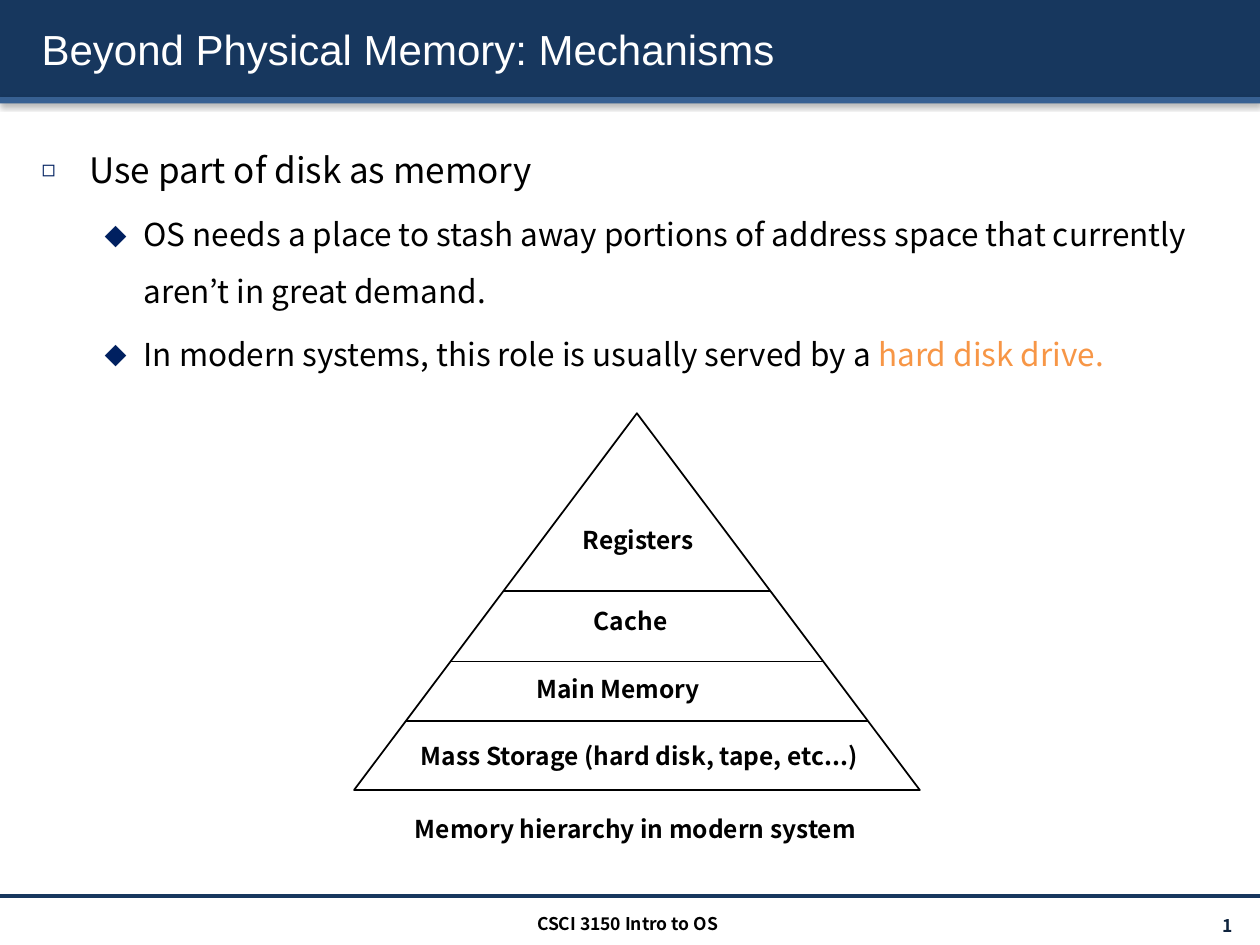
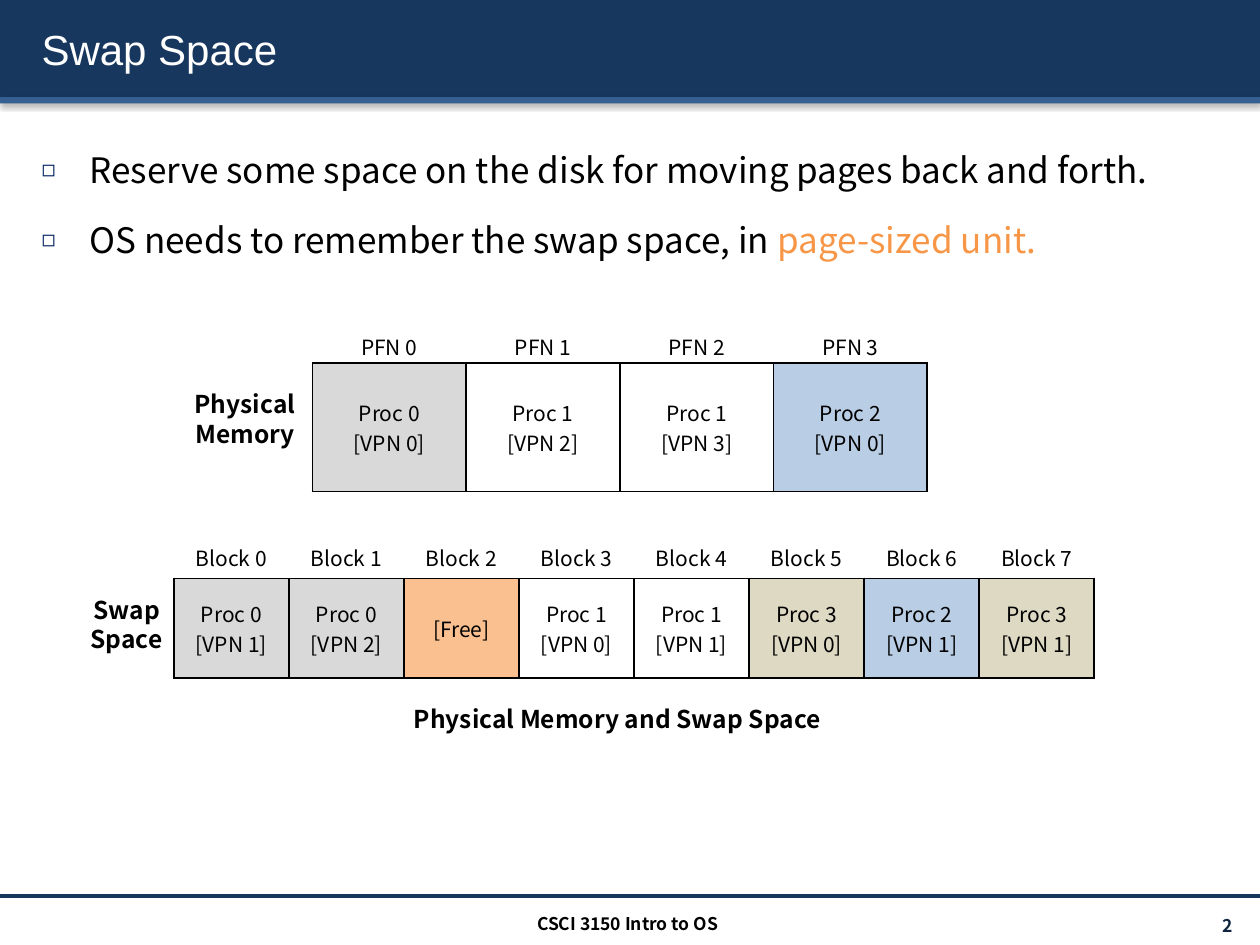
"""Build two lecture slides on memory hierarchy and swap space."""
from lxml.etree import SubElement
from pptx import Presentation
from pptx.dml.color import RGBColor
from pptx.enum.shapes import MSO_CONNECTOR, MSO_SHAPE
from pptx.enum.text import MSO_ANCHOR, MSO_AUTO_SIZE, PP_ALIGN
from pptx.oxml.ns import qn
from pptx.util import Inches, Pt

NAVY = RGBColor(0x17, 0x37, 0x5E)
BLUE = RGBColor(0x37, 0x60, 0x92)
BULLET = RGBColor(0x00, 0x20, 0x60)
INK = RGBColor(0x0F, 0x24, 0x3E)
BLACK = RGBColor(0x00, 0x00, 0x00)
WHITE = RGBColor(0xFF, 0xFF, 0xFF)
ORANGE = RGBColor(0xF7, 0x96, 0x46)
GRAY = RGBColor(0xD9, 0xD9, 0xD9)
SKY = RGBColor(0xB9, 0xCD, 0xE5)
PEACH = RGBColor(0xFA, 0xC0, 0x90)
SAND = RGBColor(0xDD, 0xD9, 0xC3)

COLS, ROWS = 100, 75
HEAD_FONT, TEXT_FONT = "Arial", "Noto Sans CJK KR"
LEVELS = [("◻", 20, 0.38, 0.38, 65), ("⬥", 18, 0.81, 0.31, 100)]
COURSE = "CSCI 3150 Intro to OS"


class Deck:
    def __init__(self):
        self.prs = Presentation()
        self.prs.slide_width, self.prs.slide_height = Inches(10), Inches(7.5)
        self.layout = self.prs.slide_layouts[1]
        self.s = None

    def x(self, col):
        return round(self.prs.slide_width * col / COLS)

    def y(self, row):
        return round(self.prs.slide_height * row / ROWS)

    def box(self, left, top, width, height):
        return self.x(left), self.y(top), self.x(width), self.y(height)

    def style(self, p, size, color=BLACK, bold=False, font=TEXT_FONT):
        for r in p.runs:
            r.font.size, r.font.bold, r.font.name = Pt(size), bold, font
            r.font.color.rgb = color

    def shadow(self, effects, blur, dist, angle, alpha):
        shade = SubElement(effects, qn("a:outerShdw"), blurRad=str(Pt(blur)), dist=str(Pt(dist)),
                           dir=str(angle * 60000), algn="t", rotWithShape="0")
        color = SubElement(shade, qn("a:srgbClr"), val=str(BLACK))
        SubElement(color, qn("a:alpha"), val=str(alpha * 1000))

    def band(self, top, height, color):
        sp = self.s.shapes.add_shape(MSO_SHAPE.RECTANGLE, *self.box(0, top, COLS, height))
        sp.shadow.inherit = False
        sp.fill.solid()
        sp.fill.fore_color.rgb = color
        sp.line.fill.background()
        self.shadow(sp._element.spPr.find(qn("a:effectLst")), 3.1, 1.6, 90, 38)
        return sp

    def line(self, left, right, row, color=BLACK, width=1):
        sp = self.s.shapes.add_connector(MSO_CONNECTOR.STRAIGHT, self.x(left), self.y(row),
                                         self.x(right), self.y(row))
        sp.line.color.rgb, sp.line.width = color, Pt(width)
        SubElement(sp._element.spPr, qn("a:effectLst"))
        return sp

    def share_bands(self):
        parts = [self.band(0, 7.7, NAVY), self.band(7.7, 0.5, BLUE),
                 self.line(0, COLS, 71.1, NAVY, 2)]
        for i, sp in enumerate(parts):
            self.layout.shapes._spTree.insert(2 + i, sp._element)

    def page(self, title, number, items):
        self.s = self.prs.slides.add_slide(self.layout)
        if len(self.prs.slides) == 1:
            self.share_bands()
        self.title(title)
        self.body(items)
        p = self.text(str(number), 87.1, 72.1, 11.7, 2.4, 10, True, INK, PP_ALIGN.RIGHT)
        run = p.runs[0]._r
        field = SubElement(p._p, qn("a:fld"), id="{B6F15528-21DE-4FAA-801E-634DDDAF4B2B}",
                           type="slidenum")
        field.extend(list(run))
        p._p.remove(run)
        self.text(COURSE, 33.2, 72, 33.2, 2.4, 10, True)

    def title(self, text):
        sp = self.s.shapes.title
        sp.left, sp.top, sp.width, sp.height = self.box(2.3, 0.7, 96.1, 6.4)
        tf = sp.text_frame
        tf.text = text
        tf.vertical_anchor, tf.auto_size = MSO_ANCHOR.MIDDLE, MSO_AUTO_SIZE.NONE
        p = tf.paragraphs[0]
        p.alignment = PP_ALIGN.LEFT
        self.style(p, 24, WHITE, font=HEAD_FONT)
        rpr = p.runs[0]._r.rPr
        effects = SubElement(rpr, qn("a:effectLst"))
        self.shadow(effects, 3, 3, 45, 100)
        rpr.find(qn("a:solidFill")).addnext(effects)

    def body(self, items):
        sp = self.s.placeholders[1]
        sp.left, sp.top, sp.width, sp.height = self.box(2.3, 9.6, 96.1, 60.2)
        tf = sp.text_frame
        tf.auto_size = MSO_AUTO_SIZE.NONE
        for i, (level, text, accent) in enumerate(items):
            p = tf.add_paragraph() if i else tf.paragraphs[0]
            p.text = text
            p.level = level
            if accent:
                p.add_run().text = accent
            self.bullet(p, *LEVELS[level])
            if accent:
                p.runs[-1].font.color.rgb = ORANGE

    def bullet(self, p, char, size, indent, hang, percent):
        self.style(p, size)
        p.line_spacing, p.space_before = 1.5, Pt(size * 0.2)
        ppr = p._p.get_or_add_pPr()
        ppr.set("marL", str(Inches(indent)))
        ppr.set("indent", str(-Inches(hang)))
        SubElement(SubElement(ppr, qn("a:buClr")), qn("a:srgbClr"), val=str(BULLET))
        SubElement(ppr, qn("a:buSzPct"), val=str(percent * 1000))
        SubElement(ppr, qn("a:buChar"), char=char)

    def text(self, text, left, top, width, height, size, bold=False, color=BLACK,
             align=PP_ALIGN.CENTER):
        tf = self.s.shapes.add_textbox(*self.box(left, top, width, height)).text_frame
        tf.word_wrap = True
        tf.text = text
        for p in tf.paragraphs:
            p.alignment = align
            self.style(p, size, color, bold)
        return tf.paragraphs[0]

    def pyramid(self, left, top, width, height, cuts):
        sp = self.s.shapes.add_shape(MSO_SHAPE.ISOSCELES_TRIANGLE,
                                     *self.box(left, top, width, height))
        sp.shadow.inherit = False
        sp.fill.solid()
        sp.fill.fore_color.rgb = WHITE
        sp.line.color.rgb, sp.line.width = BLACK, Pt(1)
        for row in cuts:
            half = width / 2 * (row - top) / height
            center = left + width / 2
            self.line(center - half, center + half, row)

    def memory(self, left, top, step, height, label, label_top, cells):
        frame = self.s.shapes.add_table(1, len(cells),
                                        *self.box(left, top, step * len(cells), height))
        for i, (text, fill) in enumerate(cells):
            self.cell(frame.table.cell(0, i), text, fill)
            self.text(f"{label} {i}", left + step * (i + 0.5) - 8.85, label_top, 17.7, 3, 12)

    def cell(self, cell, text, fill):
        tcpr = cell._tc.get_or_add_tcPr()
        for side in ("a:lnL", "a:lnR", "a:lnT", "a:lnB"):
            ln = SubElement(tcpr, qn(side), w=str(Pt(1)))
            SubElement(SubElement(ln, qn("a:solidFill")), qn("a:srgbClr"), val=str(BLACK))
        if fill:
            cell.fill.solid()
            cell.fill.fore_color.rgb = fill
        else:
            cell.fill.background()
        cell.vertical_anchor = MSO_ANCHOR.MIDDLE
        cell.text_frame.text = text
        for p in cell.text_frame.paragraphs:
            p.alignment = PP_ALIGN.CENTER
            self.style(p, 12)


def proc(number, page, fill=None):
    return f"Proc {number}\n[VPN {page}]", fill


def main():
    deck = Deck()
    deck.page("Beyond Physical Memory: Mechanisms", 3, [
        (0, "Use part of disk as memory", ""),
        (1, "OS needs a place to stash away portions of address space that currently "
            "aren’t in great demand.", ""),
        (1, "In modern systems, this role is usually served by a ", "hard disk drive."),
    ])
    deck.pyramid(28.1, 32.8, 44.9, 29.9, [46.9, 52.5, 57.2])
    for name, left, top in [
        ("Registers", 28.3, 41.2),
        ("Cache", 27.7, 47.6),
        ("Main Memory", 26.7, 53),
        ("Mass Storage (hard disk, tape, etc...)", 28.4, 58.3),
        ("Memory hierarchy in modern system", 28.1, 64.1),
    ]:
        deck.text(name, left, top, 44.7, 3.4, 14, True)

    deck.page("Swap Space", 4, [
        (0, "Reserve some space on the disk for moving pages back and forth.", ""),
        (0, "OS needs to remember the swap space, in ", "page-sized unit."),
    ])
    deck.memory(24.8, 28.8, 12.2, 10.2, "PFN", 26.1, [
        proc(0, 0, GRAY), proc(1, 2), proc(1, 3), proc(2, 0, SKY),
    ])
    deck.memory(13.8, 45.9, 9.13, 7.9, "Block", 42.8, [
        proc(0, 1, GRAY), proc(0, 2, GRAY), ("[Free]", PEACH), proc(1, 0),
        proc(1, 1), proc(3, 0, SAND), proc(2, 1, SKY), proc(3, 1, SAND),
    ])
    deck.text("Physical\nMemory", 10.6, 30.4, 17.7, 5.7, 14, True)
    deck.text("Swap\nSpace", 1.2, 46.7, 17.7, 5.7, 14, True)
    deck.text("Physical Memory and Swap Space", 29.5, 55.4, 39, 3.4, 14, True)
    deck.prs.save("out.pptx")


if __name__ == "__main__":
    main()
